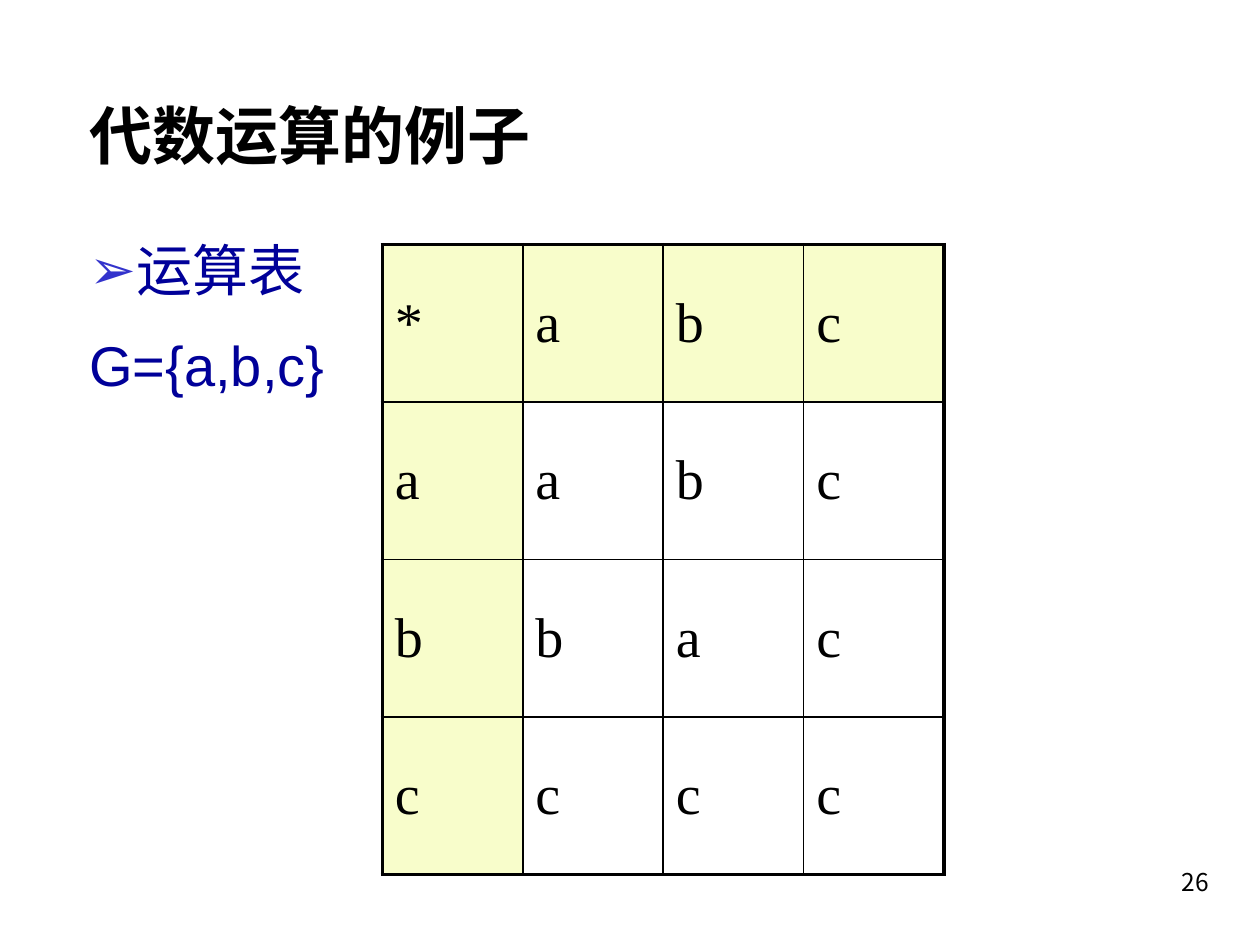
from lxml.etree import SubElement
from pptx import Presentation
from pptx.dml.color import RGBColor
from pptx.enum.text import MSO_ANCHOR, PP_ALIGN
from pptx.oxml.ns import qn
from pptx.util import Pt

BLACK, NAVY, BLUE, CREAM = "000000", "000099", "3333CC", "F8FDCB"
OPERATION_ROWS = ["*abc", "aabc", "bbac", "cccc"]


def color(hex_string):
    return RGBColor.from_string(hex_string)


def add_run(paragraph, text, size, font_name, hex_string, bold=False):
    run = paragraph.add_run()
    run.text = text
    run.font.size = Pt(size)
    run.font.name = font_name
    run.font.color.rgb = color(hex_string)
    run.font.bold = bold


def add_text_frame(slide, left, top, width, height, anchor=MSO_ANCHOR.TOP):
    shape = slide.shapes.add_textbox(Pt(left), Pt(top), Pt(width), Pt(height))
    frame = shape.text_frame
    frame.word_wrap = True
    frame.vertical_anchor = anchor
    return frame


def add_bullet(paragraph, character, hex_string, indent):
    properties = paragraph._p.get_or_add_pPr()
    properties.set("marL", str(Pt(indent)))
    properties.set("indent", str(-Pt(indent)))
    bullet_color = SubElement(properties, qn("a:buClr"))
    SubElement(bullet_color, qn("a:srgbClr"), val=hex_string)
    SubElement(properties, qn("a:buFont"), typeface="Arial")
    SubElement(properties, qn("a:buChar"), char=character)


def set_borders(cell, widths):
    """Draw black borders; widths holds left, right, top and bottom."""
    properties = cell._tc.get_or_add_tcPr()
    for side, width in zip("LRTB", widths):
        line = SubElement(properties, qn(f"a:ln{side}"), w=str(Pt(width)))
        fill = SubElement(line, qn("a:solidFill"))
        SubElement(fill, qn("a:srgbClr"), val=BLACK)


def add_operation_table(slide, left, top, column_width, row_height):
    count = len(OPERATION_ROWS)
    table = slide.shapes.add_table(
        count, count, Pt(left), Pt(top),
        Pt(column_width * count), Pt(row_height * count)).table
    table.first_row = table.horz_banding = False
    for row, symbols in enumerate(OPERATION_ROWS):
        for column, symbol in enumerate(symbols):
            cell = table.cell(row, column)
            cell.vertical_anchor = MSO_ANCHOR.MIDDLE
            add_run(cell.text_frame.paragraphs[0], symbol, 32,
                    "Times New Roman", BLACK)
            outer_sides = (column == 0, column == count - 1,
                           row == 0, row == count - 1)
            set_borders(cell, [2.25 if outer else 1 for outer in outer_sides])
            if row == 0 or column == 0:
                cell.fill.solid()
                cell.fill.fore_color.rgb = color(CREAM)
            else:
                cell.fill.background()


def add_title(slide):
    frame = add_text_frame(slide, 44, 42, 631, 70, MSO_ANCHOR.MIDDLE)
    add_run(frame.paragraphs[0], "代数运算的例子", 36, "Arial", BLACK, True)


def add_body(slide):
    frame = add_text_frame(slide, 44, 116, 320, 360)
    heading, definition = frame.paragraphs[0], frame.add_paragraph()
    for paragraph, text in ((heading, "运算表"), (definition, "G={a,b,c}")):
        paragraph.line_spacing = 1.4
        add_run(paragraph, text, 32, "Arial", NAVY)
    add_bullet(heading, "➢", BLUE, 27)


def add_page_number(slide):
    frame = add_text_frame(slide, 548, 492, 150, 36)
    frame.paragraphs[0].alignment = PP_ALIGN.RIGHT
    add_run(frame.paragraphs[0], "26", 14, "Noto Sans CJK KR", BLACK)


def main():
    presentation = Presentation()
    presentation.slide_width, presentation.slide_height = Pt(720), Pt(540)
    slide = presentation.slides.add_slide(presentation.slide_layouts[6])
    add_title(slide)
    add_body(slide)
    add_operation_table(slide, 218.5, 139.75, 80.25, 90)
    add_page_number(slide)
    presentation.save("out.pptx")


if __name__ == "__main__":
    main()
